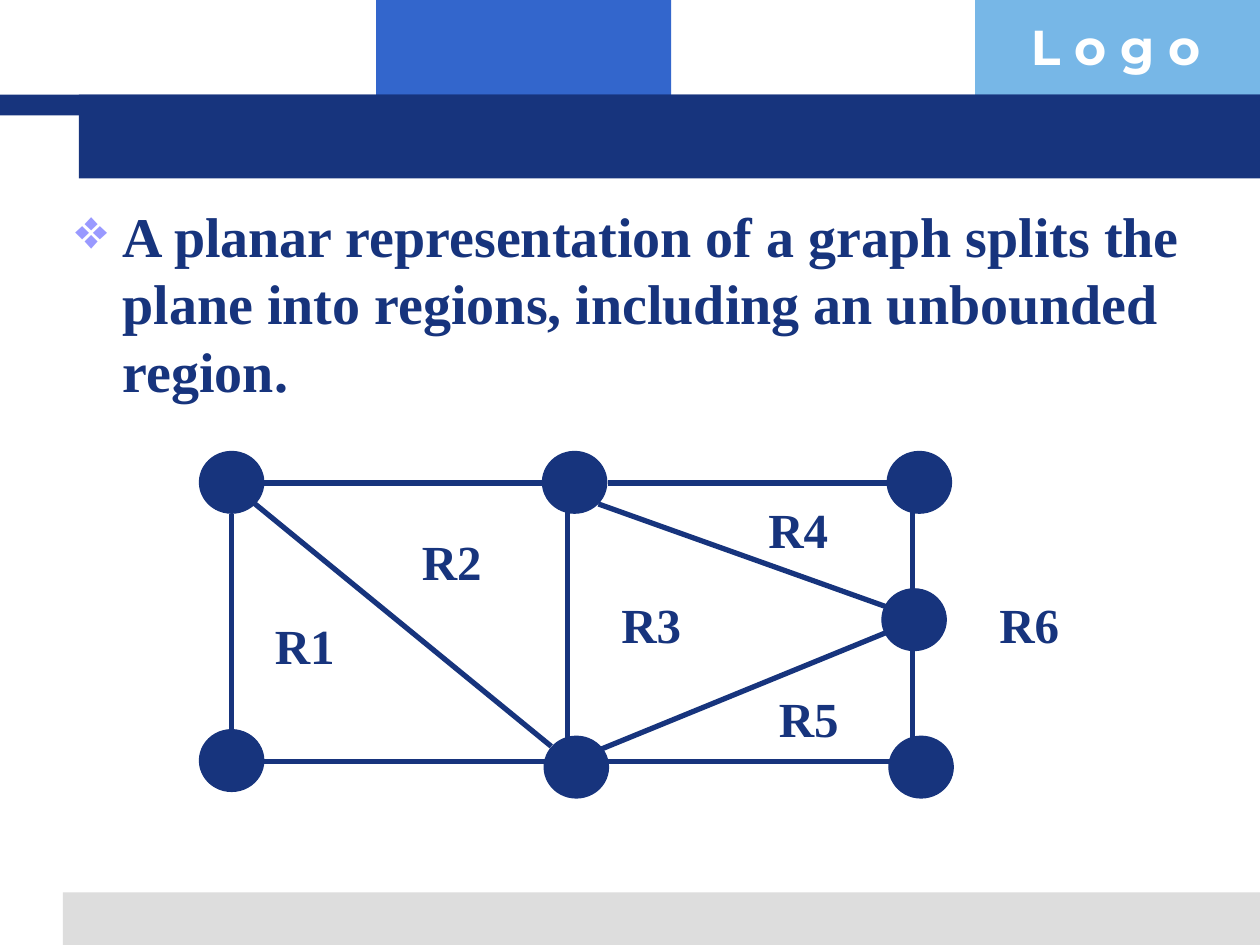
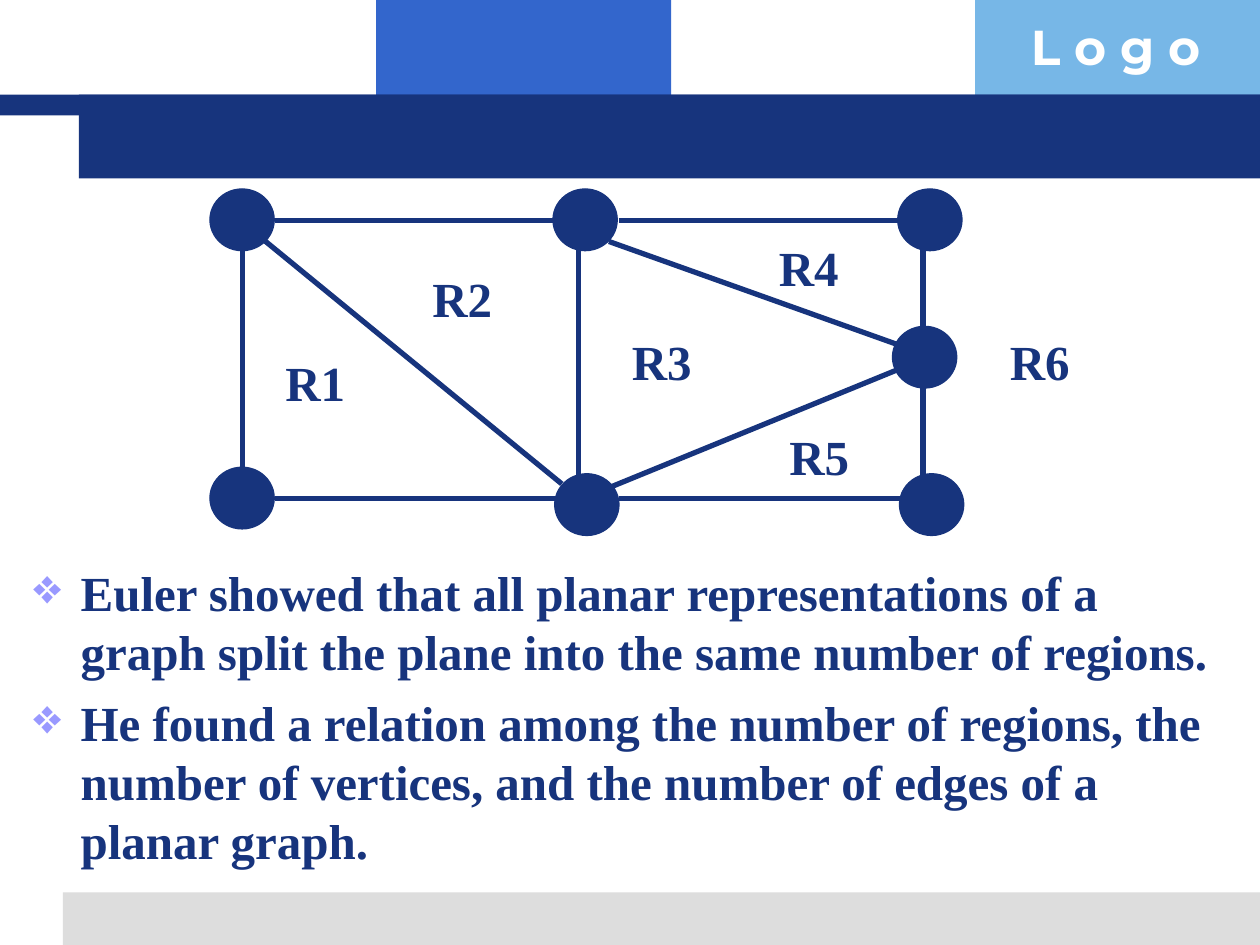
from lxml import etree
from pptx import Presentation
from pptx.dml.color import RGBColor
from pptx.enum.shapes import MSO_CONNECTOR, MSO_SHAPE
from pptx.oxml.ns import qn
from pptx.util import Pt

RECT, OVAL = MSO_SHAPE.RECTANGLE, MSO_SHAPE.OVAL
LINE = MSO_CONNECTOR.STRAIGHT

HUES = {"navy": "17347D", "blue": "3366CC", "sky": "77B7E7",
        "gray": "DDDDDD", "white": "FFFFFF", "lilac": "9999FF"}
SERIF, SANS = "Times New Roman", "Montserrat"

BANDS = [
    ("blue", 215, 0, 168.5, 66),
    ("sky", 557.25, 0, 162.75, 66),
    ("gray", 36, 510, 684, 30),
    ("navy", 0, 54, 720, 12),
    ("navy", 45, 54, 675, 48),
]
LOGO = ("L o g o", (582, 6, 138.75, 41))

SLIDES = [
    {"graph": (114, 258), "box": (36, 111.75, 672, 140.25), "size": 32,
     "lines": ["A planar representation of a graph splits the plane into "
               "regions, including an unbounded region."]},
    {"graph": (120, 108), "box": (12, 318, 696, 198), "size": 28,
     "lines": ["Euler showed that all planar representations of a graph "
               "split the plane into the same number of regions.",
               "He found a relation among the number of regions, the number "
               "of vertices, and the number of edges of a planar graph."]},
]

DOT = (36.75, 35.25)
DOTS = [(0, 0), (0, 159), (196, 0), (197, 162.75),
        (393, 0), (394, 162.75), (390, 78.5)]
EDGES = [
    (27.5, 26.5, 201, 168.5),
    (37, 18, 201, 18), (37, 177, 201, 177),
    (233.5, 18, 398.5, 18), (233.5, 177, 398.5, 177),
    (18.5, 35.5, 18.5, 159),
    (210.5, 26.5, 210.5, 168.5), (407.5, 26.5, 407.5, 168.5),
    (228, 30, 396, 90), (228.5, 170.5, 396, 102),
]
AREAS = [(36, 90), (120, 42), (234, 78), (318, 24), (324, 132), (450, 78)]
TAG = (71.25, 41)


def hue(name):
    return RGBColor.from_string(HUES[name])


def pts(*nums):
    return [Pt(n) for n in nums]


def shape(page, kind, name, *spot):
    item = page.shapes.add_shape(kind, *pts(*spot))
    item.shadow.inherit = False
    item.fill.solid()
    item.fill.fore_color.rgb = hue(name)
    item.line.fill.background()
    return item


def bullet(para):
    props = para._p.get_or_add_pPr()
    props.set("marL", str(Pt(27)))
    props.set("indent", str(-Pt(27)))
    tint = etree.SubElement(props, qn("a:buClr"))
    etree.SubElement(tint, qn("a:srgbClr"), val=HUES["lilac"])
    etree.SubElement(props, qn("a:buChar"), char="❖")


def text(page, lines, spot, size, name="navy", face=SERIF, marks=False):
    frame = page.shapes.add_textbox(*pts(*spot)).text_frame
    frame.word_wrap = True
    for num, line in enumerate(lines):
        para = frame.add_paragraph() if num else frame.paragraphs[0]
        para.text = line
        if num:
            para.space_before = Pt(size / 4)
        if marks:
            bullet(para)
        font = para.runs[0].font
        font.name, font.size, font.bold = face, Pt(size), True
        font.color.rgb = hue(name)


def edge(page, *ends):
    link = page.shapes.add_connector(LINE, *pts(*ends))
    link.line.color.rgb = hue("navy")
    link.line.width = Pt(3)
    etree.SubElement(link._element.spPr, qn("a:effectLst"))


def frame(page):
    for name, *spot in BANDS:
        shape(page, RECT, name, *spot)
    word, spot = LOGO
    text(page, [word], spot, 28, "white", SANS)


def graph(page, left, top):
    for x1, y1, x2, y2 in EDGES:
        edge(page, left + x1, top + y1, left + x2, top + y2)
    for x, y in DOTS:
        dot = shape(page, OVAL, "navy", left + x, top + y, *DOT)
        dot.line.color.rgb = hue("navy")
        dot.line.width = Pt(0.75)
    for num, (x, y) in enumerate(AREAS, 1):
        text(page, [f"R{num}"], (left + x, top + y, *TAG), 28)


def main():
    deck = Presentation()
    deck.slide_width, deck.slide_height = pts(720, 540)
    for data in SLIDES:
        page = deck.slides.add_slide(deck.slide_layouts[6])
        frame(page)
        text(page, data["lines"], data["box"], data["size"], marks=True)
        graph(page, *data["graph"])
    deck.save("out.pptx")


if __name__ == "__main__":
    main()
